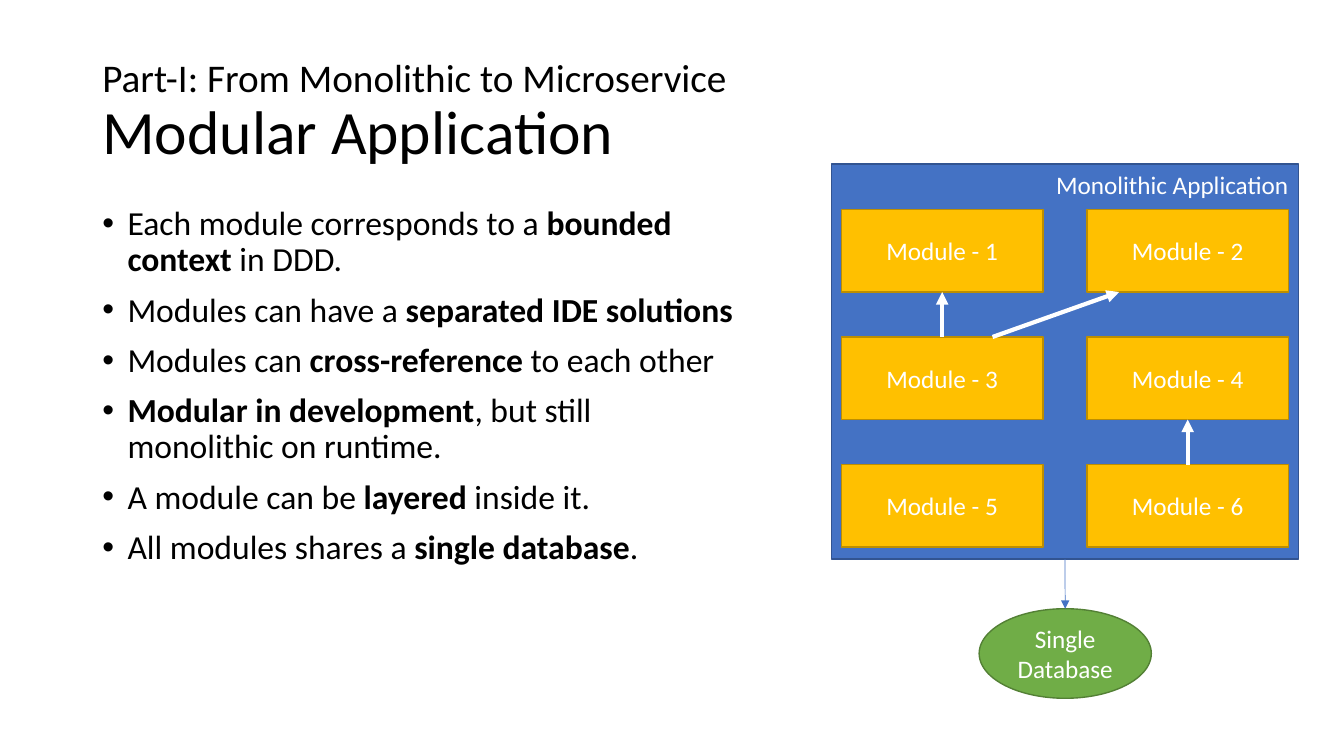
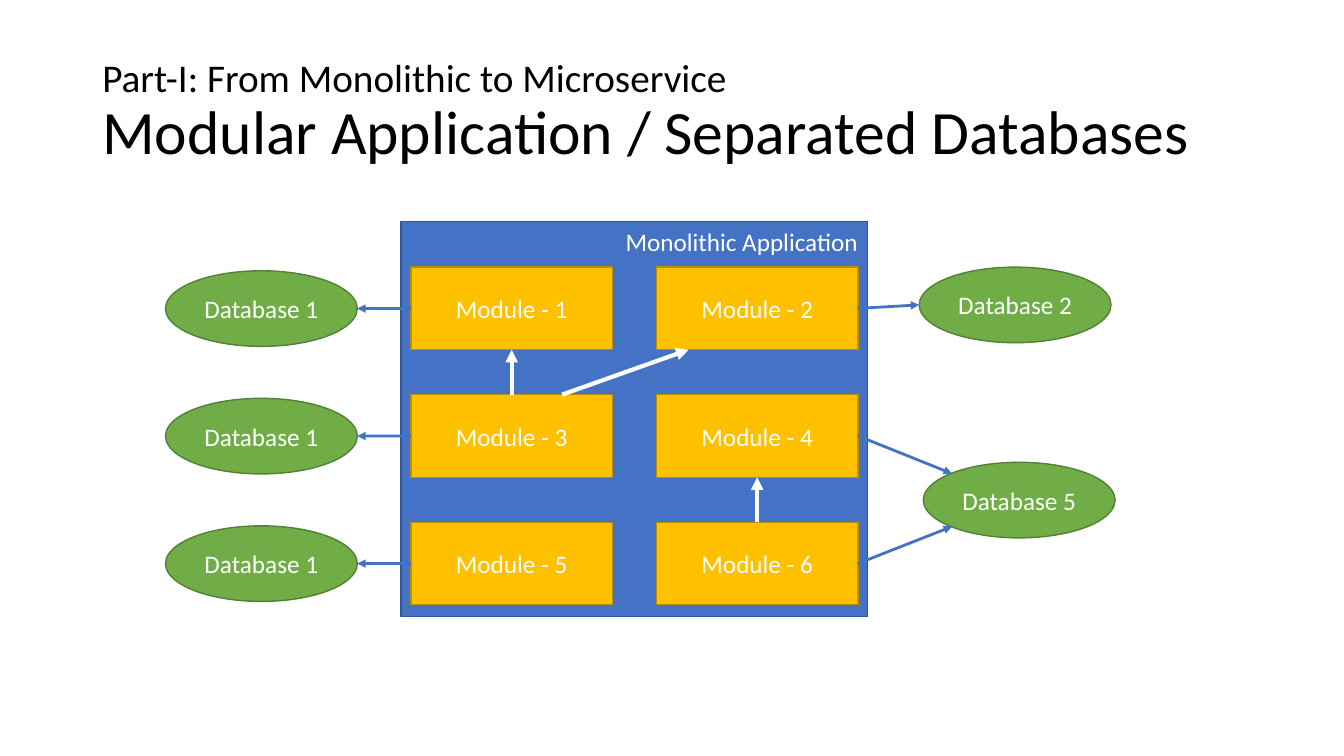
"""Builds two slides on modular applications and their databases."""
import pptx
import pptx.dml.color
import pptx.enum.shapes
import pptx.enum.text
import pptx.oxml.ns
import pptx.util
from lxml import etree

Pt = pptx.util.Pt
RGBColor = pptx.dml.color.RGBColor
Shape = pptx.enum.shapes.MSO_SHAPE
Align = pptx.enum.text.PP_ALIGN
Anchor = pptx.enum.text.MSO_ANCHOR
qn = pptx.oxml.ns.qn

FONT = "Calibri"
BLACK = RGBColor(0x00, 0x00, 0x00)
WHITE = RGBColor(0xFF, 0xFF, 0xFF)
BLUE = RGBColor(0x44, 0x72, 0xC4)
DARK_BLUE = RGBColor(0x32, 0x54, 0x91)
AMBER = RGBColor(0xFF, 0xC0, 0x00)
DARK_AMBER = RGBColor(0xBD, 0x8E, 0x00)
GREEN = RGBColor(0x70, 0xAD, 0x47)
DARK_GREEN = RGBColor(0x53, 0x80, 0x35)

PART = "Part-I: From Monolithic to Microservice"
BULLETS = [
    [("Each module corresponds to a ", False), ("bounded context ", True), ("in DDD.", False)],
    [("Modules can have a ", False), ("separated IDE solutions", True)],
    [("Modules can ", False), ("cross-reference", True), (" to each other", False)],
    [("Modular in development", True), (", but still monolithic on runtime.", False)],
    [("A module can be ", False), ("layered", True), (" inside it.", False)],
    [("All modules shares a ", False), ("single database", True), (".", False)],
]

TOP, LEFT, BOTTOM, RIGHT = (0.5, 0), (0, 0.5), (0.5, 1), (1, 0.5)
UPPER_LEFT, LOWER_LEFT = (0.15, 0.15), (0.15, 0.85)
RECTANGLE_SITES = {TOP: 0, LEFT: 1, BOTTOM: 2, RIGHT: 3}

MODULE_COUNT = 6
PANEL_SIZE = (333.4, 282.2)
MODULE_SIZE = (144, 59)
MODULE_OFFSET = (7, 32.4)
MODULE_PITCH = (175.4, 91.1)
REFERENCES = [
    (3, TOP, 1, BOTTOM),
    (3, (0.75, 0), 2, (0.16, 1)),
    (6, TOP, 4, BOTTOM),
]

DATABASE_SIZE = (137, 54)
DATABASES = [
    ("Database 2", 656.6, 190.8, [(2, RIGHT, LEFT)]),
    ("Database 1", 118.2, 193.4, [(1, LEFT, RIGHT)]),
    ("Database 5", 659.5, 330.2, [(4, RIGHT, UPPER_LEFT), (6, RIGHT, LOWER_LEFT)]),
    ("Database 1", 118.2, 284.5, [(3, LEFT, RIGHT)]),
    ("Database 1", 118.2, 375.6, [(5, LEFT, RIGHT)]),
]


def add_run(paragraph, text, size, color, bold=False):
    run = paragraph.add_run()
    run.text = text
    run.font.name = FONT
    run.font.size = Pt(size)
    run.font.bold = bold
    run.font.color.rgb = color


def add_text_box(slide, left, top, width, height, anchor):
    frame = slide.shapes.add_textbox(Pt(left), Pt(top), Pt(width), Pt(height)).text_frame
    frame.word_wrap = True
    frame.vertical_anchor = anchor
    return frame


def add_title(slide, title):
    paragraph = add_text_box(slide, 66, 28.8, 828, 104.4, Anchor.MIDDLE).paragraphs[0]
    paragraph.line_spacing = 0.9
    add_run(paragraph, PART, 28, BLACK)
    paragraph.add_line_break()
    add_run(paragraph, title, 44, BLACK)


def add_bullets(slide, bullets):
    frame = add_text_box(slide, 66, 144, 470, 342.7, Anchor.TOP)
    for index, runs in enumerate(bullets):
        paragraph = frame.add_paragraph() if index else frame.paragraphs[0]
        properties = paragraph._p.get_or_add_pPr()
        properties.set("marL", str(Pt(18)))
        properties.set("indent", str(-Pt(18)))
        etree.SubElement(properties, qn("a:buFont")).set("typeface", "Arial")
        etree.SubElement(properties, qn("a:buChar")).set("char", "•")
        paragraph.line_spacing = 0.9
        paragraph.space_before = Pt(10 if index else 0)
        for text, bold in runs:
            add_run(paragraph, text, 24, BLACK, bold)


def add_box(slide, kind, text, position, size, fill, outline,
            align=Align.CENTER, anchor=Anchor.MIDDLE):
    shape = slide.shapes.add_shape(kind, *map(Pt, (*position, *size)))
    shape.shadow.inherit = False
    shape.fill.solid()
    shape.fill.fore_color.rgb = fill
    shape.line.color.rgb = outline
    shape.line.width = Pt(1)
    shape.text_frame.word_wrap = True
    shape.text_frame.vertical_anchor = anchor
    paragraph = shape.text_frame.paragraphs[0]
    paragraph.alignment = align
    add_run(paragraph, text, 18, WHITE)
    return shape


def add_database(slide, text, position, size):
    return add_box(slide, Shape.OVAL, text, position, size, GREEN, DARK_GREEN)


def locate(shape, spot):
    return (int(shape.left + spot[0] * shape.width), int(shape.top + spot[1] * shape.height))


def add_arrow(slide, source, source_spot, target, target_spot, color, width):
    connector = slide.shapes.add_connector(
        pptx.enum.shapes.MSO_CONNECTOR.STRAIGHT,
        *locate(source, source_spot), *locate(target, target_spot))
    for shape, spot, connect in ((source, source_spot, connector.begin_connect),
                                 (target, target_spot, connector.end_connect)):
        if shape.auto_shape_type == Shape.RECTANGLE and spot in RECTANGLE_SITES:
            connect(shape, RECTANGLE_SITES[spot])
    connector.line.color.rgb = color
    connector.line.width = Pt(width)
    properties = connector._element.spPr
    etree.SubElement(properties.find(qn("a:ln")), qn("a:tailEnd")).set("type", "triangle")
    etree.SubElement(properties, qn("a:effectLst"))


def add_application(slide, left, top):
    panel = add_box(slide, Shape.RECTANGLE, "Monolithic Application", (left, top), PANEL_SIZE,
                    BLUE, DARK_BLUE, Align.RIGHT, Anchor.TOP)
    modules = {}
    for index in range(MODULE_COUNT):
        row, column = divmod(index, 2)
        position = (left + MODULE_OFFSET[0] + column * MODULE_PITCH[0],
                    top + MODULE_OFFSET[1] + row * MODULE_PITCH[1])
        modules[index + 1] = add_box(slide, Shape.RECTANGLE, f"Module - {index + 1}",
                                     position, MODULE_SIZE, AMBER, DARK_AMBER)
    for source, source_spot, target, target_spot in REFERENCES:
        add_arrow(slide, modules[source], source_spot, modules[target], target_spot, WHITE, 3)
    return panel, modules


def add_slide(presentation, title):
    slide = presentation.slides.add_slide(presentation.slide_layouts[6])
    add_title(slide, title)
    return slide


def build_single_database(presentation):
    slide = add_slide(presentation, "Modular Application")
    add_bullets(slide, BULLETS)
    panel, _ = add_application(slide, 594, 117.2)
    database = add_database(slide, "Single Database", (699.4, 434.8), (123, 64))
    add_arrow(slide, panel, BOTTOM, database, TOP, BLUE, 0.5)


def build_separated_databases(presentation):
    slide = add_slide(presentation, "Modular Application / Separated Databases")
    _, modules = add_application(slide, 286.5, 158.4)
    for name, left, top, links in DATABASES:
        database = add_database(slide, name, (left, top), DATABASE_SIZE)
        for number, module_spot, database_spot in links:
            add_arrow(slide, modules[number], module_spot, database, database_spot, BLUE, 2)


def main():
    presentation = pptx.Presentation()
    presentation.slide_width = Pt(960)
    presentation.slide_height = Pt(540)
    build_single_database(presentation)
    build_separated_databases(presentation)
    presentation.save("out.pptx")


if __name__ == "__main__":
    main()
